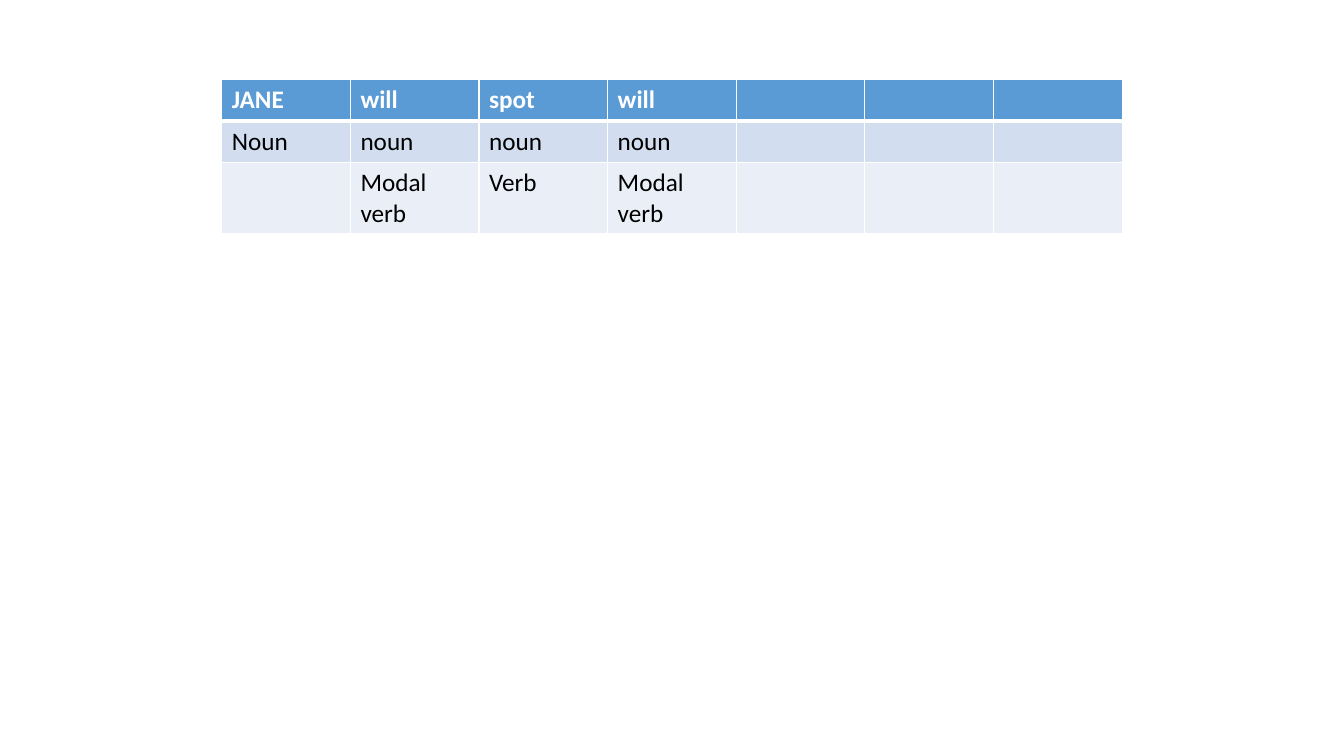
from lxml import etree
from pptx import Presentation
from pptx import util as u
from pptx.dml import color
from pptx.oxml import ns

COLUMNS = 7
WORDS = [
    ["JANE", "will", "spot", "will"],
    ["Noun", "noun", "noun", "noun"],
    ["", "Modal verb", "Verb", "Modal verb"],
]
ROW_HEIGHTS = [0.41, 0.41, 0.7]
ROW_FILLS = ["5B9BD5", "D2DEEF", "EAEFF7"]


def paint(fill, value):
    fill.solid()
    fill.fore_color.rgb = color.RGBColor.from_string(value)


def add_borders(cell, value, widths):
    properties = cell._tc.get_or_add_tcPr()
    for index, (side, width) in enumerate(widths.items()):
        line = etree.Element(ns.qn(f"a:{side}"), w=str(u.Pt(width)))
        solid = etree.SubElement(line, ns.qn("a:solidFill"))
        etree.SubElement(solid, ns.qn("a:srgbClr"), val=value)
        properties.insert(index, line)


def format_cell(cell, word, row):
    header = row == 0
    cell.text_frame.text = word
    para = cell.text_frame.paragraphs[0]
    para.font.size = u.Pt(18)
    for span in para.runs:
        span.font.name = "Calibri"
        span.font.size = u.Pt(18)
        span.font.bold = header
        paint(span.font.fill, "FFFFFF" if header else "000000")
    paint(cell.fill, ROW_FILLS[row])
    add_borders(cell, "FFFFFF", {
        "lnL": 1,
        "lnR": 1,
        "lnT": 3 if row == 1 else 1,
        "lnB": 3 if header else 1,
    })


def add_word_table(page):
    frame = page.shapes.add_table(
        len(WORDS), COLUMNS, u.Inches(2.2), u.Inches(0.79),
        u.Inches(8.93), u.Inches(sum(ROW_HEIGHTS)))
    table = frame.table
    for row, words in enumerate(WORDS):
        table.rows[row].height = u.Inches(ROW_HEIGHTS[row])
        for column in range(COLUMNS):
            word = words[column] if column < len(words) else ""
            format_cell(table.cell(row, column), word, row)


def main():
    deck = Presentation()
    deck.slide_width = u.Inches(13.33)
    deck.slide_height = u.Inches(7.5)
    page = deck.slides.add_slide(deck.slide_layouts[6])
    add_word_table(page)
    deck.save("out.pptx")


if __name__ == "__main__":
    main()
